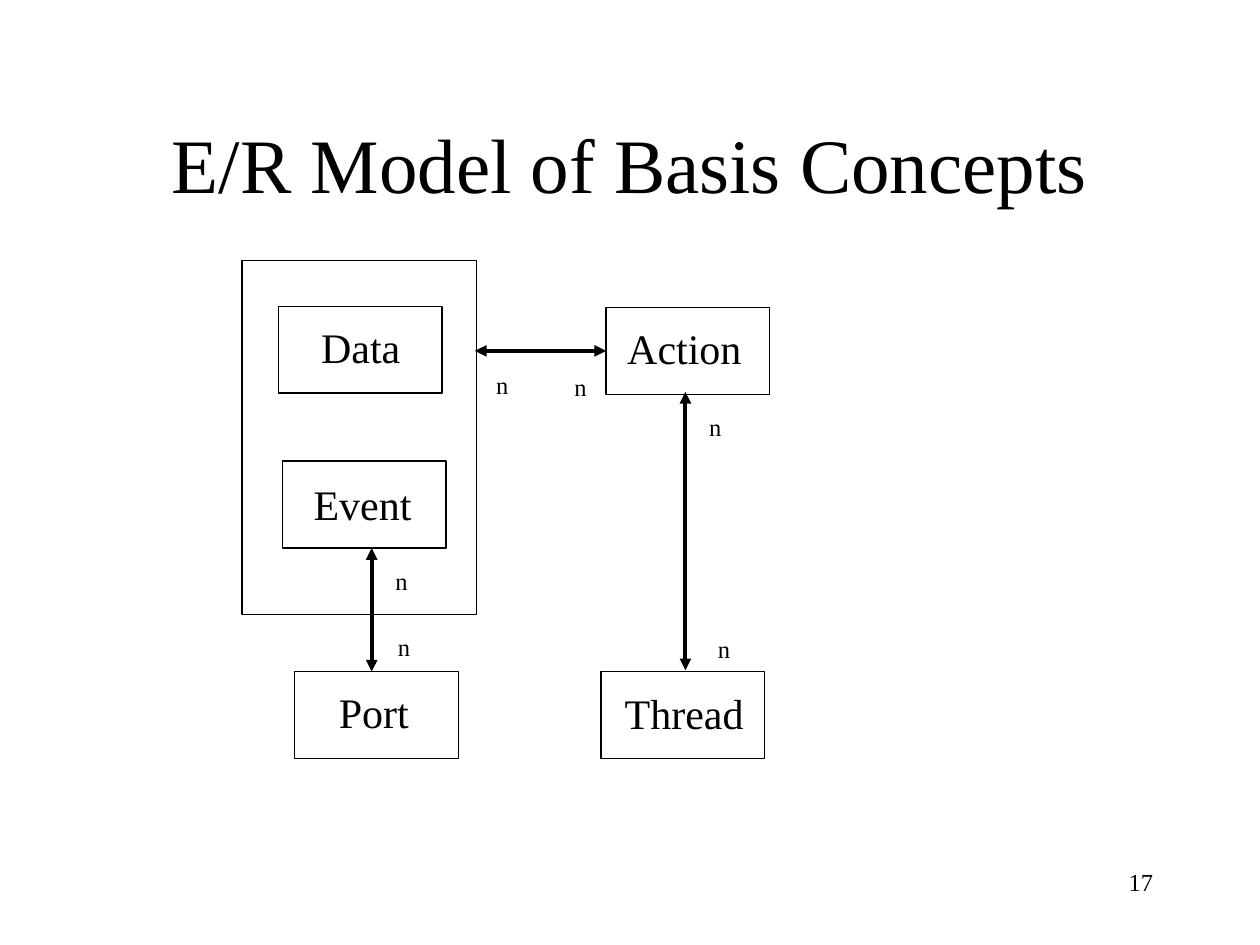
from pptx import Presentation
from pptx.dml.color import RGBColor
from pptx.enum.shapes import MSO_CONNECTOR, MSO_SHAPE
from pptx.enum.text import MSO_ANCHOR, MSO_AUTO_SIZE, PP_ALIGN
from pptx.oxml.ns import qn
from pptx.util import Inches, Pt
from lxml.etree import SubElement

FONT = "Times New Roman"
INK = "000000"
ENTITY_W, ENTITY_H = 1.3, 0.69

# Entity: left and top of its box, then left, top and width of its name
ENTITIES = {
    "Data": (2.21, 2.43, 2.45, 2.5, 0.85),
    "Event": (2.24, 3.66, 2.39, 3.75, 1.0),
    "Thread": (4.77, 5.33, 4.86, 5.41, 1.17),
    "Action": (4.81, 2.44, 4.88, 2.51, 1.13),
    "Port": (2.34, 5.33, 2.59, 5.4, 0.78),
}

# Left and top of each cardinality mark
CARDINALITIES = [(5.6, 4.98), (4.46, 2.9), (3.84, 2.89),
                 (5.53, 3.22), (3.04, 4.44), (3.06, 4.97)]


def color(hex_string):
    return RGBColor.from_string(hex_string)


def set_text(frame, text, size, align):
    frame.text = text
    paragraph = frame.paragraphs[0]
    paragraph.alignment = align
    paragraph.font.name = FONT
    paragraph.font.size = Pt(size)
    paragraph.font.color.rgb = color(INK)


def add_label(slide, text, left, top, width, height, size,
              align=PP_ALIGN.LEFT, wrap=False):
    label = slide.shapes.add_textbox(
        Inches(left), Inches(top), Inches(width), Inches(height))
    set_text(label.text_frame, text, size, align)
    label.text_frame.word_wrap = wrap
    if not wrap:
        label.text_frame.auto_size = MSO_AUTO_SIZE.SHAPE_TO_FIT_TEXT


def add_box(slide, left, top, width, height):
    box = slide.shapes.add_shape(
        MSO_SHAPE.RECTANGLE,
        Inches(left), Inches(top), Inches(width), Inches(height))
    box.shadow.inherit = False
    box.fill.background()
    box.line.color.rgb = color(INK)
    box.line.width = Pt(0.75)
    return box


def add_relation(slide, x1, y1, x2, y2):
    relation = slide.shapes.add_connector(
        MSO_CONNECTOR.STRAIGHT,
        Inches(x1), Inches(y1), Inches(x2), Inches(y2))
    relation.line.color.rgb = color(INK)
    relation.line.width = Pt(2.25)
    # Arrowheads at both ends, no shadow
    line = relation.line._get_or_add_ln()
    for end in ("a:headEnd", "a:tailEnd"):
        SubElement(line, qn(end), type="triangle")
    SubElement(relation._element.spPr, qn("a:effectLst"))
    return relation


def add_title(slide, text):
    title = slide.shapes.title
    title.left, title.top = Inches(0.75), Inches(0.67)
    title.width, title.height = Inches(8.5), Inches(1.25)
    set_text(title.text_frame, text, 44, PP_ALIGN.CENTER)
    title.text_frame.vertical_anchor = MSO_ANCHOR.MIDDLE


def main():
    deck = Presentation()
    deck.slide_width, deck.slide_height = Inches(10), Inches(7.5)
    slide = deck.slides.add_slide(deck.slide_layouts[5])

    # Slide number and title
    add_label(slide, "17", 7.17, 6.83, 2.08, 0.5, 14, PP_ALIGN.RIGHT, wrap=True)
    add_title(slide, "E/R Model of Basis Concepts")

    # Group around Data and Event, then the entities
    add_box(slide, 1.92, 2.07, 1.86, 2.81)
    boxes = {name: add_box(slide, left, top, ENTITY_W, ENTITY_H)
             for name, (left, top, *_) in ENTITIES.items()}

    # Relations: Port-Event, Thread-Action, Action-group
    add_relation(slide, 2.95, 5.33, 2.95, 4.35)
    add_relation(slide, 5.44, 5.32, 5.44, 3.11)
    action_left, action_top = ENTITIES["Action"][:2]
    action_middle = action_top + ENTITY_H / 2
    action_group = add_relation(
        slide, action_left, action_middle, 3.77, action_middle)
    action_group.begin_connect(boxes["Action"], 1)

    # Entity names and cardinalities
    for name, (_, _, left, top, width) in ENTITIES.items():
        add_label(slide, name, left, top, width, 0.5, 24)
    for left, top in CARDINALITIES:
        add_label(slide, "n", left, top, 0.3, 0.34, 14)

    deck.save("out.pptx")


if __name__ == "__main__":
    main()
